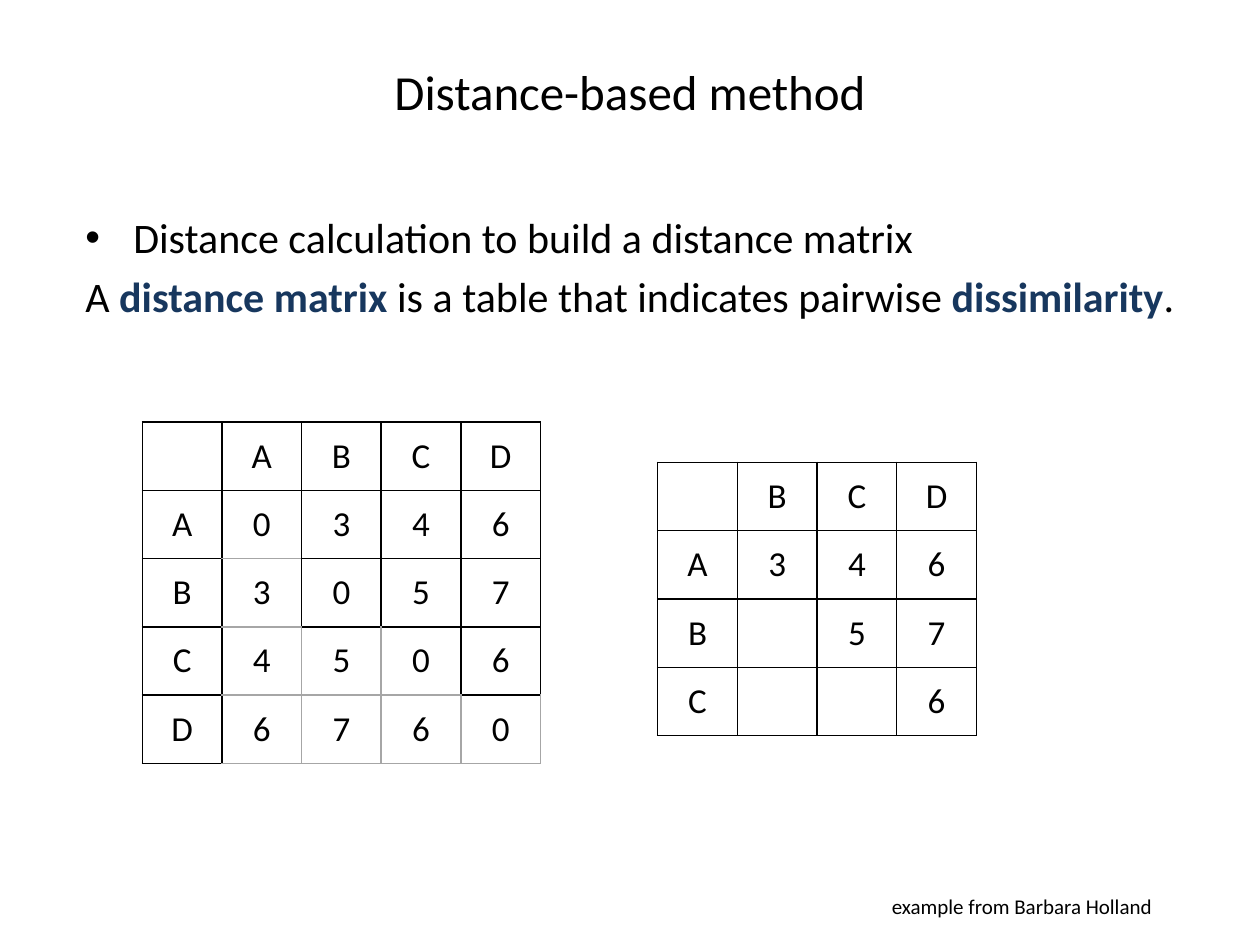
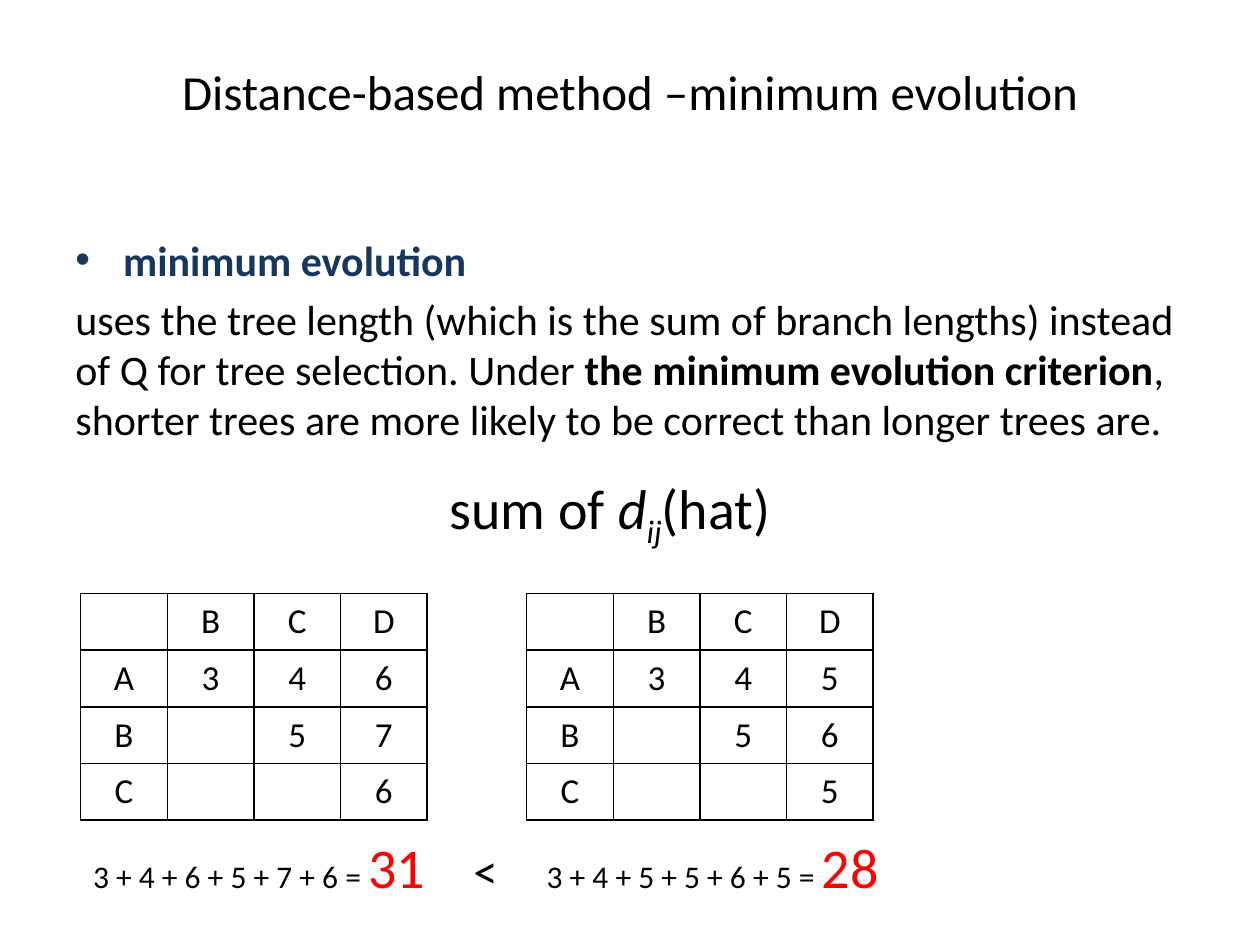
from lxml import etree
from pptx import Presentation
from pptx.dml.color import RGBColor
from pptx.enum.text import MSO_ANCHOR, MSO_AUTO_SIZE, PP_ALIGN
from pptx.oxml.ns import qn
from pptx.util import Inches, Pt

CENTER, LEFT = PP_ALIGN.CENTER, PP_ALIGN.LEFT
MIDDLE, TOP = MSO_ANCHOR.MIDDLE, MSO_ANCHOR.TOP
GROW, NO_FIT = MSO_AUTO_SIZE.SHAPE_TO_FIT_TEXT, MSO_AUTO_SIZE.NONE

# Shared look
FONT = "Calibri"
BLACK, NAVY, RED, GRAY, WHITE = "000000", "17375E", "FF0000", "A6A6A6", "FFFFFF"
TITLE_SIZE, BODY_SIZE, CELL_SIZE = 28, 24, 20
BODY_GAP = 0.2 * BODY_SIZE
BULLET_INDENT = Inches(0.38)

# Grid of 100 columns and 75 rows; boxes are (column, row, columns, rows)
SLIDE_WIDTH, SLIDE_HEIGHT = Inches(10), Inches(7.5)
COLUMN, ROW = SLIDE_WIDTH / 100, SLIDE_HEIGHT / 75
TITLE_BOX = (5, 3, 90, 8.5)

# Pairwise distances above the diagonal
TAXA = "ABCD"
OBSERVED = [[3, 4, 6], [5, 7], [6]]
TREE_FITTED = [[3, 4, 5], [5, 6], [5]]

# Sides drawn in gray, by (row, column) of the full matrix
GRAY_SIDES = {
    (1, 1): "B", (2, 1): "TB", (3, 1): "TRB", (3, 2): "LRB", (3, 3): "LB",
    (4, 1): "TRB", (4, 2): "LTRB", (4, 3): "LTRB", (4, 4): "LRB",
}


def color(hex_value):
    return RGBColor.from_string(hex_value)


def place(box):
    left, top, width, height = box
    return (round(left * COLUMN), round(top * ROW),
            round(width * COLUMN), round(height * ROW))


def apply(target, values):
    for name, value in values.items():
        setattr(target, name, value)


def add_runs(paragraph, runs, size):
    """Each run is a text and a dict of what differs from the plain style."""
    for text, changes in runs:
        run = paragraph.add_run()
        run.text = text
        style = {"size": size, "color": BLACK, "bold": False, "italic": False}
        style.update(changes)
        subscript = style.pop("subscript", False)
        run.font.color.rgb = color(style.pop("color"))
        style["size"] = Pt(style["size"])
        apply(run.font, {"name": FONT, **style})
        if subscript:
            run.font._element.set("baseline", "-25000")


def add_bullet(paragraph):
    properties = paragraph._p.get_or_add_pPr()
    properties.set("marL", str(BULLET_INDENT))
    properties.set("indent", str(-BULLET_INDENT))
    etree.SubElement(properties, qn("a:buFont")).set("typeface", "Arial")
    etree.SubElement(properties, qn("a:buChar")).set("char", "•")


def add_title_slide(presentation, title):
    slide = presentation.slides.add_slide(presentation.slide_layouts[5])
    slide.background.fill.solid()
    slide.background.fill.fore_color.rgb = color(WHITE)
    shape = slide.shapes.title
    apply(shape, dict(zip(("left", "top", "width", "height"), place(TITLE_BOX))))
    apply(shape.text_frame, {"vertical_anchor": MIDDLE, "word_wrap": True,
                             "auto_size": NO_FIT})
    paragraph = shape.text_frame.paragraphs[0]
    paragraph.alignment = CENTER
    add_runs(paragraph, [(title, {})], TITLE_SIZE)
    return slide


def add_label(slide, box, runs, size):
    frame = slide.shapes.add_textbox(*place(box)).text_frame
    apply(frame, {"word_wrap": False, "auto_size": GROW})
    add_runs(frame.paragraphs[0], runs, size)


def add_body(slide, box, bullet_runs, text_runs):
    """A bulleted heading line followed by a plain paragraph."""
    frame = slide.shapes.add_textbox(*place(box)).text_frame
    apply(frame, {"word_wrap": True, "auto_size": NO_FIT, "vertical_anchor": TOP})
    heading, explanation = frame.paragraphs[0], frame.add_paragraph()
    add_bullet(heading)
    add_runs(heading, bullet_runs, BODY_SIZE)
    apply(explanation, {"space_before": Pt(BODY_GAP), "alignment": LEFT})
    add_runs(explanation, text_runs, BODY_SIZE)


def draw_borders(cell, gray_sides):
    properties = cell._tc.get_or_add_tcPr()
    for index, side in enumerate("LRTB"):
        line = etree.Element(qn("a:ln" + side), w=str(Pt(1)))
        fill = etree.SubElement(line, qn("a:solidFill"))
        shade = GRAY if side in gray_sides else BLACK
        etree.SubElement(fill, qn("a:srgbClr")).set("val", shade)
        properties.insert(index, line)


def upper_rows(distances):
    """Only the distances above the diagonal."""
    rows = [["", *TAXA[1:]]]
    for index, values in enumerate(distances):
        rows.append([TAXA[index], *[""] * index, *values])
    return rows


def full_rows(distances):
    """All distances, mirrored at the diagonal."""
    def distance(i, j):
        low, high = sorted((i, j))
        return distances[low][high - low - 1] if low < high else 0

    span = range(len(TAXA))
    return [["", *TAXA]] + [[TAXA[i], *(distance(i, j) for j in span)] for i in span]


def add_matrix(slide, box, rows, gray_sides=None):
    left, top, width, height = place(box)
    table = slide.shapes.add_table(len(rows), len(rows[0]), left, top,
                                   width, height).table
    apply(table, {"first_row": False, "horz_banding": False})
    for column in table.columns:
        column.width = round(width / len(rows[0]))
    for row in table.rows:
        row.height = round(height / len(rows))
    for i, values in enumerate(rows):
        for j, value in enumerate(values):
            cell = table.cell(i, j)
            cell.fill.background()
            cell.vertical_anchor = MIDDLE
            draw_borders(cell, (gray_sides or {}).get((i, j), ""))
            if value != "":
                paragraph = cell.text_frame.paragraphs[0]
                paragraph.alignment = CENTER
                add_runs(paragraph, [(str(value), {})], CELL_SIZE)


def add_summed_matrix(slide, box, distances, sum_indent=0):
    """A matrix with the sum of its distances written underneath."""
    left, top, width, height = box
    table_height, sum_top, sum_height = 0.723 * height, 0.743 * height, 0.257 * height
    add_matrix(slide, (left, top, width, table_height), upper_rows(distances))
    terms = [value for values in distances for value in values]
    runs = [(" + ".join(map(str, terms)) + " = ", {"size": 18}),
            (str(sum(terms)), {"color": RED})]
    add_label(slide, (left + sum_indent, top + sum_top, 28.6, sum_height), runs, 32)


def build_distance_slide(presentation):
    slide = add_title_slide(presentation, "Distance-based method")
    key_term = {"color": NAVY, "bold": True}
    add_body(slide, (5.8, 16.3, 90.3, 10.2),
             [("Distance calculation to build a distance matrix", {})],
             [("A ", {}), ("distance matrix ", key_term),
              ("is a table that indicates pairwise ", {}),
              ("dissimilarity", key_term), (".", {})])
    add_matrix(slide, (11.3, 33.5, 31.6, 27.1), full_rows(OBSERVED), GRAY_SIDES)
    add_matrix(slide, (52.2, 36.7, 25.3, 21.7), upper_rows(OBSERVED))
    add_label(slide, (69.8, 70.4, 23, 3),
              [("example from Barbara Holland", {})], 12)


def build_evolution_slide(presentation):
    slide = add_title_slide(presentation, "Distance-based method –minimum evolution")
    add_body(slide, (5, 18.1, 90, 18.1),
             [("minimum evolution", {"color": NAVY, "bold": True})],
             [("uses the tree length (which is the sum of branch lengths) "
               "instead of Q for tree selection. Under ", {}),
              ("the minimum evolution criterion", {"bold": True}),
              (", shorter trees are more likely to be correct than longer "
               "trees are.", {})])
    add_label(slide, (34.7, 37.1, 27.9, 6.4),
              [("sum of ", {}), ("d", {"italic": True}),
               ("ij", {"italic": True, "subscript": True}), ("(hat)", {})], 32)
    # Two matrices and the comparison of their sums
    add_summed_matrix(slide, (6.4, 47.1, 27.5, 24.9), OBSERVED)
    add_summed_matrix(slide, (41.8, 47.1, 27.5, 24.9), TREE_FITTED, sum_indent=0.6)
    add_label(slide, (36.6, 66.2, 4, 5.7), [("<", {})], 28)


def main():
    presentation = Presentation()
    apply(presentation, {"slide_width": SLIDE_WIDTH, "slide_height": SLIDE_HEIGHT})
    build_distance_slide(presentation)
    build_evolution_slide(presentation)
    presentation.save("out.pptx")


if __name__ == "__main__":
    main()
